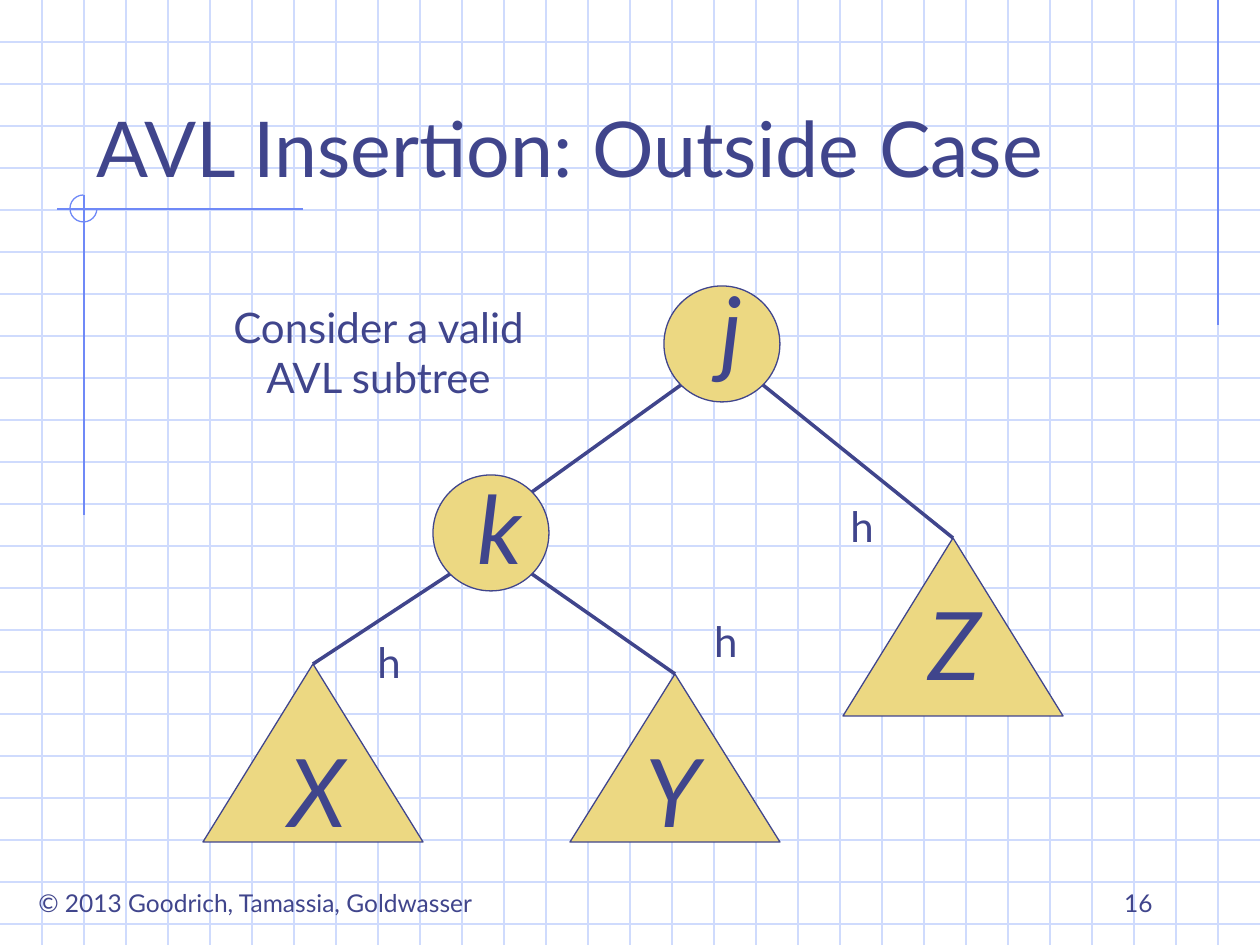
from math import sqrt

from lxml.etree import SubElement
from pptx import Presentation
from pptx.dml.color import RGBColor
from pptx.enum.shapes import MSO_CONNECTOR, MSO_SHAPE
from pptx.enum.text import MSO_ANCHOR, PP_ALIGN
from pptx.oxml.ns import qn
from pptx.util import Pt

SCALE = 914400 / 126
WIDTH, HEIGHT, GRID = 1260, 945, 42
INK = RGBColor(0x40, 0x45, 0x8C)
GOLD = RGBColor(0xEC, 0xD8, 0x82)
PALE = RGBColor(0xCF, 0xDB, 0xFD)
BLUE = RGBColor(0x6F, 0x89, 0xF7)
WHITE = RGBColor(0xFF, 0xFF, 0xFF)

ACCENTS = [
    ((1218, 0), (1218, 325)),
    ((303, 209), (57, 209)),
    ((84, 195), (84, 515)),
]
RING = (70, 195, 27, 27)
DIAMETER = 116
NODES = {"j": (664, 286), "k": (433, 475)}
SUBTREES = {
    "X": (203, 664, 220, 178),
    "Y": (570, 674, 210, 168),
    "Z": (843, 538, 220, 178),
}
LETTERS = {"j": (696, 265), "k": (465, 464), "X": (276, 727), "Y": (633, 727), "Z": (916, 580)}
LETTER_SIZE = (70, 126)
SUBTREE_EDGES = [("k", -1, "X"), ("k", 1, "Y"), ("j", 1, "Z")]
HEIGHTS = [(837, 494), (364, 630), (701, 609)]

BODY = {"size": Pt(24)}
SMALL = {"size": Pt(14)}
TEXTS = [
    (["AVL Insertion: Outside Case"], (84, 42, 1071, 157), {"size": Pt(44)},
     PP_ALIGN.LEFT, MSO_ANCHOR.BOTTOM, True),
    (["© 2013 Goodrich, Tamassia, Goldwasser"], (11, 882, 489, 43), SMALL,
     PP_ALIGN.CENTER, MSO_ANCHOR.TOP, False),
    (["16"], (903, 861, 262, 63), SMALL, PP_ALIGN.RIGHT, MSO_ANCHOR.BOTTOM, True),
    (["Consider a valid", "AVL subtree"], (209, 295, 339, 113), BODY,
     PP_ALIGN.CENTER, MSO_ANCHOR.TOP, False),
]
TEXTS += [(["h"], (*place, 50, 63), BODY, PP_ALIGN.CENTER, MSO_ANCHOR.TOP, False)
          for place in HEIGHTS]
TEXTS += [([letter], (*place, *LETTER_SIZE), {"size": Pt(54), "italic": True},
           PP_ALIGN.CENTER, MSO_ANCHOR.TOP, True)
          for letter, place in LETTERS.items()]


def emu(*lengths):
    return [round(length * SCALE) for length in lengths]


def add_line(page, start, end, color, weight=0.75):
    line = page.shapes.add_connector(MSO_CONNECTOR.STRAIGHT, *emu(*start, *end))
    line.line.color.rgb = color
    line.line.width = Pt(weight)
    SubElement(line._element.spPr, qn("a:effectLst"))
    return line


def add_outline(page, kind, place, color, fill=None):
    shape = page.shapes.add_shape(kind, *emu(*place))
    shape.shadow.inherit = False
    shape.line.color.rgb = color
    shape.line.width = Pt(0.75)
    if fill is None:
        shape.fill.background()
    else:
        shape.fill.solid()
        shape.fill.fore_color.rgb = fill
    return shape


def add_text(page, lines, place, font, align, anchor, wrap):
    frame = page.shapes.add_textbox(*emu(*place)).text_frame
    frame.word_wrap = wrap
    frame.vertical_anchor = anchor
    frame.text = "\n".join(lines)
    for para in frame.paragraphs:
        para.alignment = align
        for span in para.runs:
            span.font.color.rgb = INK
            for name, value in {"name": "Lato", **font}.items():
                setattr(span.font, name, value)


def rim_point(node, across, down):
    """Return the diagonal point on a node's rim, with signs giving the quadrant."""
    left, top = NODES[node]
    radius = DIAMETER / 2
    reach = radius / sqrt(2)
    return left + radius + across * reach, top + radius + down * reach


def draw_backdrop(page):
    for y in range(GRID, HEIGHT, GRID):
        add_line(page, (0, y), (WIDTH, y), PALE)
    for x in range(GRID, WIDTH, GRID):
        add_line(page, (x, 0), (x, HEIGHT), PALE)
    for start, end in ACCENTS:
        add_line(page, start, end, BLUE)
    ring = add_outline(page, MSO_SHAPE.ARC, RING, BLUE)
    ring.adjustments[0] = 0
    ring.adjustments[1] = 162


def draw_tree(page):
    for place in NODES.values():
        add_outline(page, MSO_SHAPE.OVAL, (*place, DIAMETER, DIAMETER), INK, GOLD)
    triangles = {
        name: add_outline(page, MSO_SHAPE.ISOSCELES_TRIANGLE, place, INK, GOLD)
        for name, place in SUBTREES.items()
    }
    add_line(page, rim_point("j", -1, 1), rim_point("k", 1, -1), INK, 2)
    for node, side, subtree in SUBTREE_EDGES:
        left, top, width, _ = SUBTREES[subtree]
        edge = add_line(page, rim_point(node, side, 1), (left + width / 2, top), INK, 2)
        edge.end_connect(triangles[subtree], 0)


def main():
    deck = Presentation()
    deck.slide_width, deck.slide_height = emu(WIDTH, HEIGHT)
    page = deck.slides.add_slide(deck.slide_layouts[6])
    page.background.fill.solid()
    page.background.fill.fore_color.rgb = WHITE
    draw_backdrop(page)
    draw_tree(page)
    for text in TEXTS:
        add_text(page, *text)
    deck.save("out.pptx")


if __name__ == "__main__":
    main()
